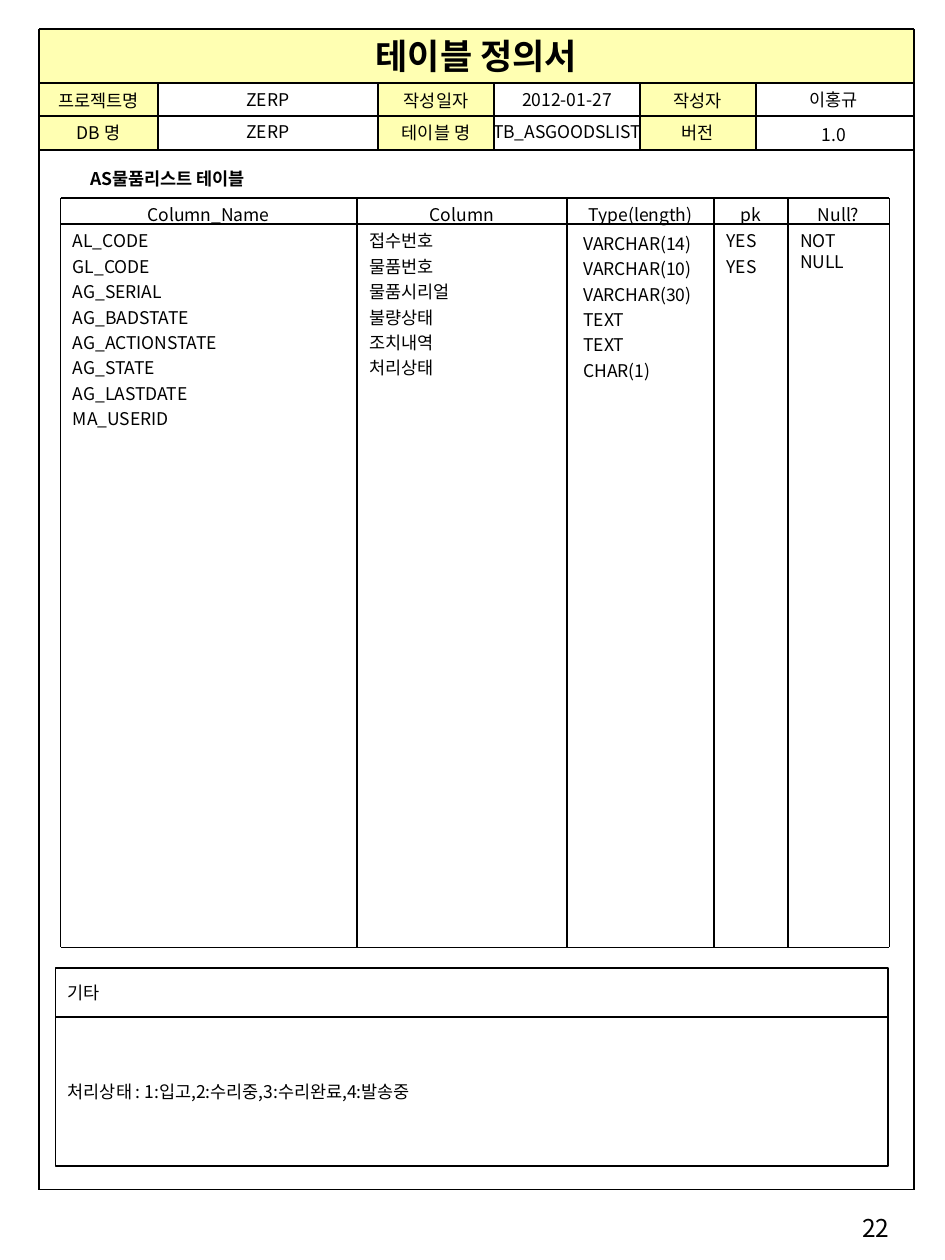
import pptx
import pptx.dml.color
import pptx.enum.shapes
import pptx.enum.text
import pptx.oxml.ns
import pptx.util
from lxml import etree

Cm, Pt, qn = pptx.util.Cm, pptx.util.Pt, pptx.oxml.ns.qn
ALIGN = pptx.enum.text.PP_ALIGN
ANCHOR = pptx.enum.text.MSO_ANCHOR
FONT = "Noto Sans CJK KR"
BLACK, YELLOW = "000000", "FFFF66"

TITLE = "테이블 정의서"
HEADER_LABELS = [["프로젝트명", "작성일자", "작성자"],
                 ["DB 명", "테이블 명", "버전"]]
HEADER_VALUES = [["ZERP", "2012-01-27", "이홍규"],
                 ["ZERP", "TB_ASGOODSLIST", "1.0"]]
SUBTITLE = "AS물품리스트 테이블"
COLUMNS = [
    ("Column_Name", ["AL_CODE", "GL_CODE", "AG_SERIAL", "AG_BADSTATE",
                     "AG_ACTIONSTATE", "AG_STATE", "AG_LASTDATE", "MA_USERID"]),
    ("Column", ["접수번호", "물품번호", "물품시리얼", "불량상태", "조치내역", "처리상태"]),
    ("Type(length)", ["VARCHAR(14)", "VARCHAR(10)", "VARCHAR(30)",
                      "TEXT", "TEXT", "CHAR(1)"]),
    ("pk", ["YES", "YES"]),
    ("Null?", ["NOT NULL"]),
]
NOTES = [("기타", 19.51, 0.99),
         ("처리상태 : 1:입고,2:수리중,3:수리완료,4:발송중", 20.5, 3.0)]
PAGE_NUMBER = "22"

# Grid lines in cm
HEADER_X = [0.79, 3.18, 7.62, 9.96, 12.9, 15.24, 18.42]
HEADER_Y = [0.58, 1.68, 2.34, 3.02]
FRAME_BOTTOM = 23.98
TABLE_X = [1.22, 7.19, 11.43, 14.4, 15.88, 17.93]
TABLE_Y = [3.99, 4.52, 19.1]
VALUE_HEIGHT = 0.64
# Value boxes reach a little past their cells so long names stay on one line
VALUE_PAD = 0.1
# Small shifts of single cells: (x, y)
VALUE_SHIFT = {(0, 2): (0.08, 0), (1, 2): (0.08, 0.05)}
TYPE_SHIFT = (0.08, 0.05)


def rgb(color):
    return pptx.dml.color.RGBColor.from_string(color)


def write(sp, lines, size=10, bold=False, align=ALIGN.CENTER, before=0,
          middle=False, wrap=True, side=0.25):
    tf = sp.text_frame
    tf.word_wrap = wrap
    tf.margin_left = tf.margin_right = Cm(side)
    tf.vertical_anchor = ANCHOR.MIDDLE if middle else ANCHOR.TOP
    for i, line in enumerate(lines):
        p = tf.paragraphs[0] if i == 0 else tf.add_paragraph()
        p.alignment = align
        p.space_before = Pt(before)
        r = p.add_run()
        r.text = line
        r.font.size, r.font.bold, r.font.name = Pt(size), bold, FONT
        r.font.color.rgb = rgb(BLACK)
        ea = etree.SubElement(r.font._element, qn("a:ea"))
        ea.set("typeface", FONT)


def add_text(s, x, y, w, h, lines, **style):
    write(s.shapes.add_textbox(Cm(x), Cm(y), Cm(w), Cm(h)), lines, **style)


def add_box(s, x, y, w, h, text, fill=None, line=None, **style):
    """Rectangle with a half-transparent fill or a thin outline."""
    sp = s.shapes.add_shape(pptx.enum.shapes.MSO_SHAPE.RECTANGLE,
                            Cm(x), Cm(y), Cm(w), Cm(h))
    sp.shadow.inherit = False
    if fill:
        sp.fill.solid()
        sp.fill.fore_color.rgb = rgb(fill)
        clr = sp._element.spPr.find(qn("a:solidFill")).find(qn("a:srgbClr"))
        etree.SubElement(clr, qn("a:alpha")).set("val", "50000")
    else:
        sp.fill.background()
    if line:
        sp.line.color.rgb = rgb(line)
        sp.line.width = Pt(1)
    else:
        sp.line.fill.background()
    write(sp, [text], **style)


def add_line(s, x1, y1, x2, y2):
    c = s.shapes.add_connector(pptx.enum.shapes.MSO_CONNECTOR.STRAIGHT,
                               Cm(x1), Cm(y1), Cm(x2), Cm(y2))
    c.line.color.rgb = rgb(BLACK)
    c.line.width = Pt(1)
    etree.SubElement(c._element.spPr, qn("a:effectLst"))


def add_rules(s, xs, ys, left, right, top, bottom):
    """Horizontal rules at ys and vertical rules at xs."""
    for y in ys:
        add_line(s, left, y, right, y)
    for x in xs:
        add_line(s, x, top, x, bottom)


def add_header(s):
    left, right = HEADER_X[0], HEADER_X[-1]
    top, title_bottom = HEADER_Y[:2]
    add_box(s, left, top, right - left, title_bottom - top, TITLE,
            fill=YELLOW, size=20, bold=True, before=5)
    for row, (labels, values) in enumerate(zip(HEADER_LABELS, HEADER_VALUES)):
        y, y_next = HEADER_Y[row + 1:row + 3]
        for i, (label, value) in enumerate(zip(labels, values)):
            x, x_value, x_next = HEADER_X[2 * i:2 * i + 3]
            add_box(s, x, y, x_value - x, y_next - y, label,
                    fill=YELLOW, before=2.5)
            dx, dy = VALUE_SHIFT.get((row, i), (0, 0))
            add_text(s, x_value + dx - VALUE_PAD, y + dy,
                     x_next - x_value - 2.5 * dx + 2 * VALUE_PAD,
                     VALUE_HEIGHT, [value], middle=True, wrap=False, side=0)
    add_rules(s, HEADER_X[1:-1], HEADER_Y + [FRAME_BOTTOM],
              left, right, title_bottom, HEADER_Y[-1])
    add_rules(s, [left, right], [], left, right, top, FRAME_BOTTOM)


def add_column_table(s):
    top, body, bottom = TABLE_Y
    for (name, items), x, x_next in zip(COLUMNS, TABLE_X, TABLE_X[1:]):
        w = x_next - x
        add_text(s, x, top, w, body - top, [name], before=2.5)
        dx, dy = TYPE_SHIFT if name == "Type(length)" else (0, 0)
        add_text(s, x + dx, body + dy, w, bottom - body - dy, items,
                 align=ALIGN.LEFT, before=2.5)
    add_rules(s, TABLE_X, TABLE_Y, TABLE_X[0], TABLE_X[-1], top, bottom)


def main():
    prs = pptx.Presentation()
    prs.slide_width, prs.slide_height = Cm(19.05), Cm(25.4)
    s = prs.slides.add_slide(prs.slide_layouts[6])
    add_header(s)
    add_text(s, 1.47, 3.3, 3.81, 0.61, [SUBTITLE],
             bold=True, middle=True, wrap=False)
    add_column_table(s)
    for text, y, h in NOTES:
        add_box(s, 1.12, y, 16.79, h, text, line=BLACK,
                align=ALIGN.LEFT, middle=True, wrap=False)
    add_text(s, 14.22, 24.33, 3.96, 0.48, [PAGE_NUMBER],
             size=14, align=ALIGN.RIGHT)
    prs.save("out.pptx")


if __name__ == "__main__":
    main()
